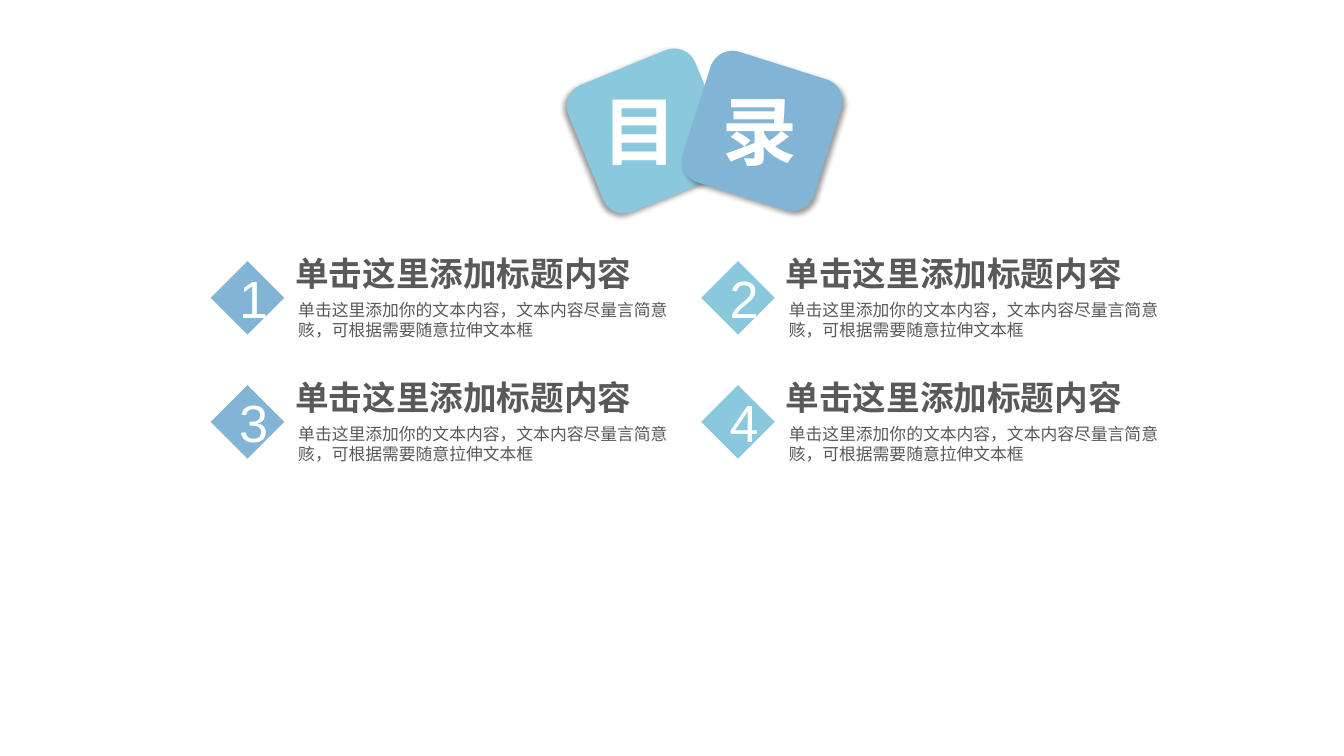
from dataclasses import dataclass

from lxml.etree import SubElement
from pptx import Presentation
from pptx.dml.color import RGBColor
from pptx.enum.shapes import MSO_SHAPE
from pptx.enum.text import MSO_ANCHOR, MSO_AUTO_SIZE, PP_ALIGN
from pptx.oxml.ns import qn
from pptx.util import Inches, Pt


@dataclass(frozen=True)
class Theme:
    """Colours, fonts and type sizes of the contents slide."""
    blue: str = "82B4D5"
    aqua: str = "8AC8DD"
    white: str = "FFFFFF"
    gray: str = "595959"
    shadow: str = "000000"
    chinese: str = "Noto Sans CJK SC"
    latin: str = "Arial"
    banner: float = 53.4
    number: float = 37.4
    heading: float = 24
    detail: float = 12


THEME = Theme()
HEADING = "单击这里添加标题内容"
DETAIL = "单击这里添加你的文本内容，文本内容尽量言简意赅，可根据需要随意拉伸文本框"


def write(shape, text, size, color, font, bold=False, wrap=True,
          align=PP_ALIGN.LEFT, anchor=MSO_ANCHOR.TOP, fit=MSO_AUTO_SIZE.NONE):
    """Put one formatted paragraph into a shape."""
    frame = shape.text_frame
    frame_format = {"word_wrap": wrap, "auto_size": fit, "vertical_anchor": anchor}
    para = frame.paragraphs[0]
    para.alignment = align
    para.line_spacing = 1.0
    para.space_before = Pt(0)
    span = para.add_run()
    span.text = text
    span_format = {"size": Pt(size), "name": font, "bold": bold}
    for target, values in ((frame, frame_format), (span.font, span_format)):
        for name, value in values.items():
            setattr(target, name, value)
    span.font.color.rgb = RGBColor.from_string(color)
    SubElement(span.font._element, qn("a:ea"), typeface=font)


def add_tile(page, kind, left, top, side, color):
    """Add a square preset shape with a plain fill and no line."""
    tile = page.shapes.add_shape(kind, *map(Inches, (left, top, side, side)))
    tile.shadow.inherit = False
    tile.fill.solid()
    tile.fill.fore_color.rgb = RGBColor.from_string(color)
    tile.line.fill.background()
    return tile


def cast_shadow(shape, direction):
    """Give a shape a soft outer shadow towards an angle in degrees."""
    effects = shape._element.spPr.find(qn("a:effectLst"))
    outer = SubElement(effects, qn("a:outerShdw"), blurRad=str(Pt(4)), dist=str(Pt(3)),
                       dir=str(direction * 60000), algn="ctr", rotWithShape="0")
    color = SubElement(outer, qn("a:srgbClr"), val=THEME.shadow)
    SubElement(color, qn("a:alpha"), val="40000")


def add_banner(page, left, top):
    """Draw the two tilted cards and the title on them."""
    cards = ((0, THEME.aqua, 337.7, 135), (1.12, THEME.blue, 17.5, 45))
    for offset, color, rotation, direction in cards:
        card = add_tile(page, MSO_SHAPE.ROUNDED_RECTANGLE, left + offset, top, 1.36, color)
        card.rotation = rotation
        cast_shadow(card, direction)
    first = page.shapes.title
    page.shapes._spTree.append(first._element)
    second = page.shapes.add_textbox(0, 0, 0, 0)
    for box, text, offset in ((first, "目", 0.12), (second, "录", 1.31)):
        place = {"left": left + offset, "top": top + 0.17, "width": 0.95, "height": 1}
        for name, value in place.items():
            setattr(box, name, Inches(value))
        write(box, text, THEME.banner, THEME.white, THEME.chinese, bold=True,
              wrap=False, fit=MSO_AUTO_SIZE.SHAPE_TO_FIT_TEXT)


def add_entry(page, left, top, number, color):
    """Draw one numbered entry with its heading and detail text."""
    group = page.shapes.add_group_shape()
    texts = ((HEADING, 0.74, 0, 3.57, THEME.heading, True, False),
             (DETAIL, 0.77, 0.46, 3.9, THEME.detail, False, True))
    for text, right, down, width, size, bold, wrap in texts:
        box = group.shapes.add_textbox(*map(Inches, (left + right, top + down, width, 0.5)))
        write(box, text, size, THEME.gray, THEME.chinese, bold=bold, wrap=wrap,
              fit=MSO_AUTO_SIZE.SHAPE_TO_FIT_TEXT)
    diamond = add_tile(page, MSO_SHAPE.DIAMOND, left, top + 0.13, 0.73, color)
    write(diamond, str(number), THEME.number, THEME.white, THEME.latin,
          align=PP_ALIGN.CENTER, anchor=MSO_ANCHOR.MIDDLE)


def add_contents(deck):
    """Build the contents slide: a grid of entries under the banner."""
    page = deck.slides.add_slide(deck.slide_layouts[5])
    for index in range(4):
        row, column = divmod(index, 2)
        color = (THEME.blue, THEME.aqua)[column]
        add_entry(page, 2.09 + column * 4.865, 2.46 + row * 1.23, index + 1, color)
    add_banner(page, 5.76, 0.62)


def main():
    """Create and save the deck."""
    deck = Presentation()
    deck.slide_width, deck.slide_height = Inches(13.33), Inches(7.5)
    add_contents(deck)
    deck.save("out.pptx")


if __name__ == "__main__":
    main()
